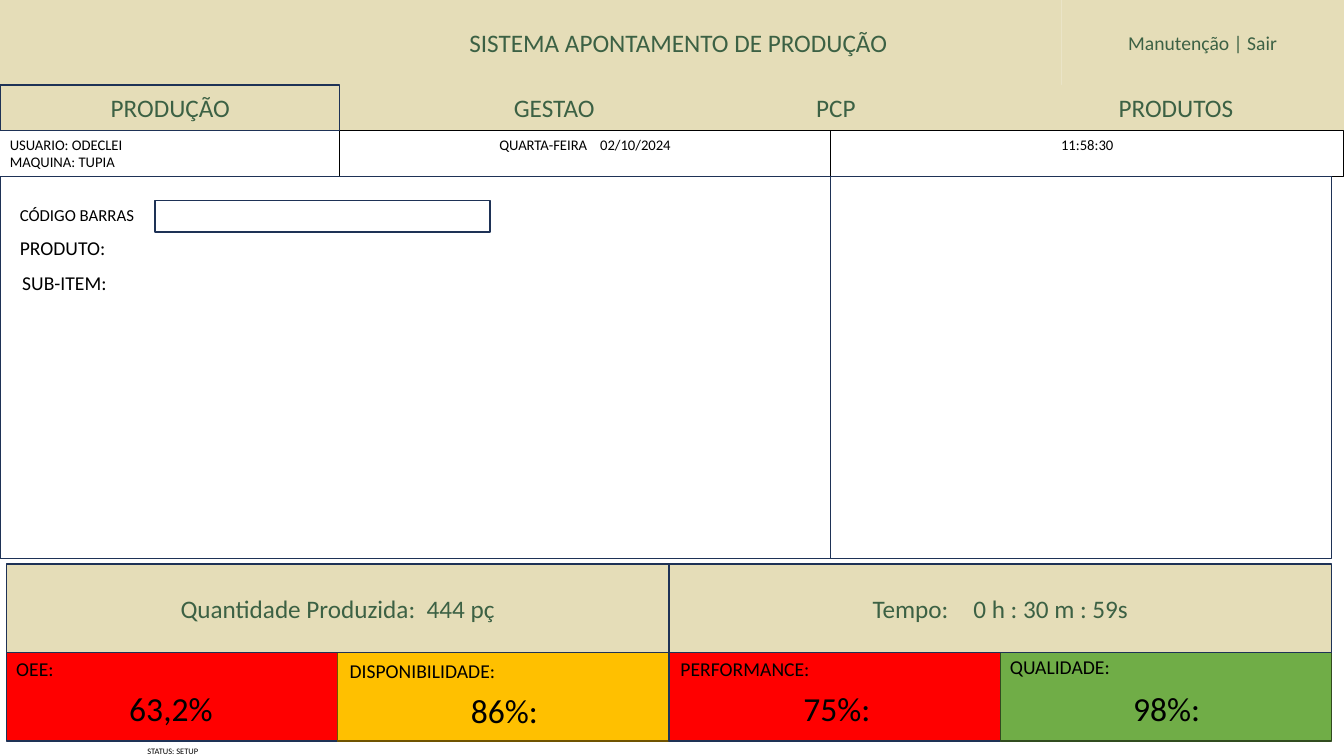
from dataclasses import dataclass

from pptx import Presentation
from pptx import util as u
from pptx.dml.color import RGBColor
from pptx.enum import shapes, text

SAND, GREEN, NAVY, BLACK = "E5DDB8", "3C6144", "1E3256", "000000"
LEFT, CENTER = text.PP_ALIGN.LEFT, text.PP_ALIGN.CENTER
TOP, MIDDLE = text.MSO_ANCHOR.TOP, text.MSO_ANCHOR.MIDDLE
DEFAULT_TAB = u.Cm(2.54)


@dataclass
class Box:
    """A rectangle in centimetres, with optional fill, outline and text."""
    left: float
    top: float
    width: float
    height: float
    fill: str | None = None
    line: str | None = None
    line_width: float = 1
    words: str = ""
    size: float = 18
    color: str = GREEN
    align: text.PP_ALIGN = CENTER
    anchor: text.MSO_ANCHOR = MIDDLE


@dataclass
class Metric:
    name: str
    value: str
    fill: str
    line: str
    label_left: float
    label_top: float
    value_left: float
    value_top: float


def rgb(value: str) -> RGBColor:
    return RGBColor.from_string(value)


def write(shape, box: Box) -> None:
    frame = shape.text_frame
    frame.text = box.words
    frame.word_wrap = True
    frame.auto_size = text.MSO_AUTO_SIZE.NONE
    frame.vertical_anchor = box.anchor
    frame.margin_left = frame.margin_right = u.Cm(0.25)
    frame.margin_top = frame.margin_bottom = u.Cm(0.13)
    for paragraph in frame.paragraphs:
        paragraph.alignment = box.align
        paragraph.line_spacing = 1.0
        paragraph._p.get_or_add_pPr().set("defTabSz", str(int(DEFAULT_TAB)))
        for run in paragraph.runs:
            run.font.name = "Calibri"
            run.font.size = u.Pt(box.size)
            run.font.color.rgb = rgb(box.color)


def draw_box(slide, box: Box) -> None:
    shape = slide.shapes.add_shape(
        shapes.MSO_SHAPE.RECTANGLE,
        u.Cm(box.left), u.Cm(box.top), u.Cm(box.width), u.Cm(box.height))
    shape.shadow.inherit = False
    if box.fill:
        shape.fill.solid()
        shape.fill.fore_color.rgb = rgb(box.fill)
    else:
        shape.fill.background()
    if box.line:
        shape.line.color.rgb = rgb(box.line)
        shape.line.width = u.Pt(box.line_width)
    else:
        shape.line.fill.background()
    if box.words:
        write(shape, box)


def draw_label(slide, left: float, top: float, width: float, height: float,
               words: str, size: float, align: text.PP_ALIGN = LEFT) -> None:
    shape = slide.shapes.add_textbox(
        u.Cm(left), u.Cm(top), u.Cm(width), u.Cm(height))
    write(shape, Box(left, top, width, height, words=words, size=size,
                     color=BLACK, align=align, anchor=TOP))


def draw_title(slide, box: Box) -> None:
    title = slide.shapes.title
    title.left, title.top = u.Cm(box.left), u.Cm(box.top)
    title.width, title.height = u.Cm(box.width), u.Cm(box.height)
    title.fill.solid()
    title.fill.fore_color.rgb = rgb(box.fill)
    write(title, box)


# Grid
SLIDE_WIDTH, SLIDE_HEIGHT = 33.87, 19.05
HEADER_HEIGHT = 2.14
MENU_HEIGHT = 1.15
INFO_TOP = HEADER_HEIGHT + MENU_HEIGHT
INFO_HEIGHT = 1.16
PANEL_TOP = INFO_TOP + INFO_HEIGHT
PANEL_HEIGHT = 9.62
COLUMNS = [0, 8.56, 20.93, SLIDE_WIDTH]
PANEL_RIGHT = 33.55
TITLE_LEFT, TITLE_RIGHT = 7.44, 26.75
CARD_LEFT, CARD_WIDTH, CARD_HEIGHT = 0.16, 8.35, 2.23
TOTAL_TOP = 14.21
METRIC_TOP = TOTAL_TOP + CARD_HEIGHT

INFO = ["USUARIO: ODECLEI\nMAQUINA: TUPIA", "QUARTA-FEIRA\t02/10/2024", "11:58:30"]
TOTALS = ["Quantidade Produzida:  444 pç", "Tempo:\t0 h : 30 m : 59s"]
METRICS = [
    Metric("OEE:", "63,2%", "FF0000", NAVY, 0.16, 16.43, 0.16, 17.2),
    Metric("DISPONIBILIDADE:", "86%:", "FFC000", "705400", 8.56, 16.48, 8.56, 17.25),
    Metric("PERFORMANCE:", "75%:", "FF0000", NAVY, 16.9, 16.43, 16.94, 17.2),
    Metric("QUALIDADE:", "98%:", "70AD47", "314C1F", 25.2, 16.38, 25.25, 17.2),
]


def main() -> None:
    presentation = Presentation()
    presentation.slide_width = u.Cm(SLIDE_WIDTH)
    presentation.slide_height = u.Cm(SLIDE_HEIGHT)
    slide = presentation.slides.add_slide(presentation.slide_layouts[5])

    # Header and menu
    draw_title(slide, Box(TITLE_LEFT, 0, TITLE_RIGHT - TITLE_LEFT, HEADER_HEIGHT,
                          SAND, words="SISTEMA APONTAMENTO DE PRODUÇÃO"))
    draw_box(slide, Box(0, 0, TITLE_LEFT, HEADER_HEIGHT, SAND))
    draw_box(slide, Box(TITLE_RIGHT, 0, SLIDE_WIDTH - TITLE_RIGHT, HEADER_HEIGHT,
                        SAND, words="Manutenção | Sair", size=14))
    menu = "\t\t\t".join(["PRODUÇÃO", "GESTAO", "PCP", "PRODUTOS"])
    draw_box(slide, Box(0, HEADER_HEIGHT, SLIDE_WIDTH, MENU_HEIGHT, SAND, words=menu))

    # User, date and time
    for index, words in enumerate(INFO):
        left, right = COLUMNS[index:index + 2]
        draw_box(slide, Box(left, INFO_TOP, right - left, INFO_HEIGHT, None, BLACK, 0.75,
                            words, 10.5, BLACK, CENTER if index else LEFT, TOP))

    # Work panels, selected menu item and bar code field
    split = COLUMNS[2]
    draw_box(slide, Box(0, PANEL_TOP, split, PANEL_HEIGHT, line=NAVY))
    draw_box(slide, Box(split, PANEL_TOP, PANEL_RIGHT - split, PANEL_HEIGHT, line=NAVY))
    draw_box(slide, Box(0, HEADER_HEIGHT, COLUMNS[1], MENU_HEIGHT, line=NAVY))
    draw_box(slide, Box(3.91, 5.05, 8.44, 0.8, "FFFFFF", NAVY))
    draw_label(slide, 0.25, 5.04, 3.66, 0.77, "CÓDIGO BARRAS", 12)
    draw_label(slide, 0.25, 5.82, 11.38, 0.86, "PRODUTO:", 14)
    draw_label(slide, 0.31, 6.69, 11.38, 0.86, "SUB-ITEM:", 14)

    # Indicators
    for index, metric in enumerate(METRICS):
        draw_box(slide, Box(CARD_LEFT + index * CARD_WIDTH, METRIC_TOP,
                            CARD_WIDTH, CARD_HEIGHT, metric.fill, metric.line))
        draw_label(slide, metric.label_left, metric.label_top, 8.3, 0.86, metric.name, 14)
        draw_label(slide, metric.value_left, metric.value_top, 8.3, 1.28,
                   metric.value, 24, CENTER)

    # Totals and status
    for index, words in enumerate(TOTALS):
        draw_box(slide, Box(CARD_LEFT + index * 2 * CARD_WIDTH, TOTAL_TOP,
                            2 * CARD_WIDTH, CARD_HEIGHT, SAND, NAVY, words=words))
    draw_label(slide, 0.18, 18.67, CARD_WIDTH, 0.5, "STATUS: SETUP", 6, CENTER)

    presentation.save("out.pptx")


if __name__ == "__main__":
    main()
